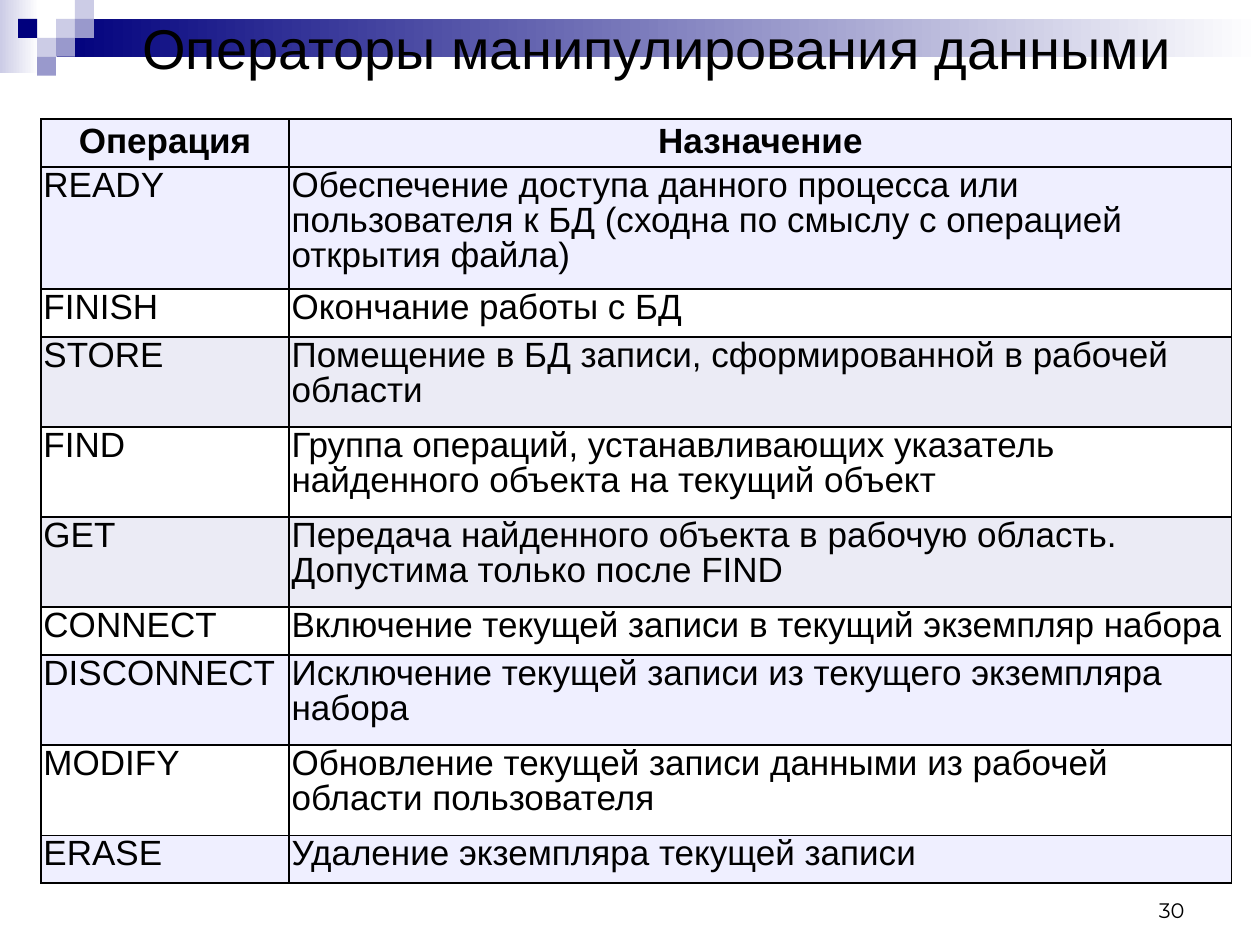
import pptx
import pptx.dml.color
import pptx.enum.shapes
import pptx.enum.text
import pptx.oxml
import pptx.oxml.ns
import pptx.util
from pptx.dml.color import RGBColor
from pptx.util import Pt

BLACK = RGBColor(0x00, 0x00, 0x00)
WHITE = RGBColor(0xFF, 0xFF, 0xFF)
NAVY = RGBColor(0x00, 0x00, 0x7D)
BLUE = RGBColor(0x99, 0x99, 0xCC)
PALE_BLUE = RGBColor(0xCC, 0xCC, 0xE6)
LAVENDER = RGBColor(0xEF, 0xEF, 0xFF)
MIST = RGBColor(0xEB, 0xEB, 0xF5)

ALIGN = pptx.enum.text.PP_ALIGN
ANCHOR = pptx.enum.text.MSO_ANCHOR

HEADINGS = ("Операция", "Назначение")
OPERATIONS = [
    ("READY", "Обеспечение доступа данного процесса или пользователя к БД "
     "(сходна по смыслу с операцией открытия файла)", 3, LAVENDER),
    ("FINISH", "Окончание работы с БД", 1, WHITE),
    ("STORE", "Помещение в БД записи, сформированной в рабочей области", 2, MIST),
    ("FIND", "Группа операций, устанавливающих указатель найденного объекта "
     "на текущий объект", 2, WHITE),
    ("GET", "Передача найденного объекта в рабочую область. "
     "Допустима только после FIND", 2, MIST),
    ("CONNECT", "Включение текущей записи в текущий экземпляр набора", 1, WHITE),
    ("DISCONNECT", "Исключение текущей записи из текущего экземпляра набора", 2, LAVENDER),
    ("MODIFY", "Обновление текущей записи данными из рабочей области пользователя", 2, WHITE),
    ("ERASE", "Удаление экземпляра текущей записи", 1, LAVENDER),
]
ROW_HEIGHTS = {1: 27.4, 2: 51.5, 3: 69.8}
COLUMN_WIDTHS = (141.8, 538.6)
SQUARE = 10.8
MOSAIC = [
    (2, 1, PALE_BLUE), (3, 0, PALE_BLUE), (3, 1, BLUE), (1, 2, PALE_BLUE),
    (0, 1, NAVY), (2, 2, BLUE), (1, 3, BLUE),
]


class SlideBuilder:
    def __init__(self, slide, font="Arial"):
        self.slide = slide
        self.font = font

    def block(self, left, top, width, height, color, fade_to=None):
        block = self.slide.shapes.add_shape(
            pptx.enum.shapes.MSO_SHAPE.RECTANGLE, Pt(left), Pt(top), Pt(width), Pt(height))
        block.shadow.inherit = False
        block.line.fill.background()
        if fade_to is None:
            block.fill.solid()
            block.fill.fore_color.rgb = color
            return
        block.fill.gradient()
        block.fill.gradient_angle = 0
        for stop, stop_color, position in zip(
                block.fill.gradient_stops, (color, fade_to), (0, 1)):
            stop.color.rgb = stop_color
            stop.position = position

    def set_text(self, frame, text, size, align, spacing=1.0, bold=False, font=None):
        frame.text = text
        paragraph = frame.paragraphs[0]
        paragraph.alignment = align
        paragraph.line_spacing = spacing
        paragraph.space_before = Pt(0)
        for run in paragraph.runs:
            run.font.name = font or self.font
            run.font.size = Pt(size)
            run.font.bold = bold
            run.font.color.rgb = BLACK

    def title(self, text, left, top, width, height):
        title = self.slide.shapes.title
        title.left, title.top = Pt(left), Pt(top)
        title.width, title.height = Pt(width), Pt(height)
        frame = title.text_frame
        frame.word_wrap = True
        frame.auto_size = pptx.enum.text.MSO_AUTO_SIZE.NONE
        frame.vertical_anchor = ANCHOR.MIDDLE
        self.set_text(frame, text, 32, ALIGN.CENTER, 0.8)
        self.slide.shapes._spTree.append(title._element)

    def page_number(self, text, left, top, width, height):
        box = self.slide.shapes.add_textbox(Pt(left), Pt(top), Pt(width), Pt(height))
        box.text_frame.word_wrap = True
        box.text_frame.vertical_anchor = ANCHOR.BOTTOM
        self.set_text(box.text_frame, text, 12, ALIGN.RIGHT, font="Montserrat")

    def cell(self, cell, text, color, heading):
        cell.margin_left = cell.margin_right = Pt(1.44)
        cell.margin_top = cell.margin_bottom = Pt(1.44)
        cell.vertical_anchor = ANCHOR.MIDDLE if heading else ANCHOR.TOP
        self.set_text(cell.text_frame, text, 20,
                      ALIGN.CENTER if heading else ALIGN.LEFT, 0.9, heading)
        properties = cell._tc.get_or_add_tcPr()
        for side in ("lnL", "lnR", "lnT", "lnB"):
            properties.append(pptx.oxml.parse_xml(
                f'<a:{side} {pptx.oxml.ns.nsdecls("a")} w="{Pt(1)}">'
                f'<a:solidFill><a:srgbClr val="{BLACK}"/></a:solidFill></a:{side}>'))
        cell.fill.solid()
        cell.fill.fore_color.rgb = color

    def table(self, left, top, widths, headings, records):
        rows = [(*headings, 1, LAVENDER), *records]
        heights = [ROW_HEIGHTS[lines] for _, _, lines, _ in rows]
        table = self.slide.shapes.add_table(
            len(rows), len(widths), Pt(left), Pt(top), Pt(sum(widths)), Pt(sum(heights))).table
        for column, width in zip(table.columns, widths):
            column.width = Pt(width)
        for index, (operation, purpose, _, color) in enumerate(rows):
            table.rows[index].height = Pt(heights[index])
            for column, text in enumerate((operation, purpose)):
                self.cell(table.cell(index, column), text, color, index == 0)


def main():
    presentation = pptx.Presentation()
    presentation.slide_width, presentation.slide_height = Pt(720), Pt(540)
    builder = SlideBuilder(presentation.slides.add_slide(presentation.slide_layouts[5]))

    builder.block(0, 0, 22.3, 41.8, PALE_BLUE, WHITE)
    builder.block(32.4, SQUARE, 687.6, 21.6, NAVY, WHITE)
    for column, row, color in MOSAIC:
        builder.block(10.4 + column * SQUARE, row * SQUARE, SQUARE, SQUARE, color)

    builder.title("Операторы манипулирования данными", 31, 10.8, 689, 39.6)
    builder.page_number("30", 632.2, 491.8, 51.8, 38.9)
    builder.table(23.4, 68, COLUMN_WIDTHS, HEADINGS, OPERATIONS)
    presentation.save("out.pptx")


if __name__ == "__main__":
    main()
